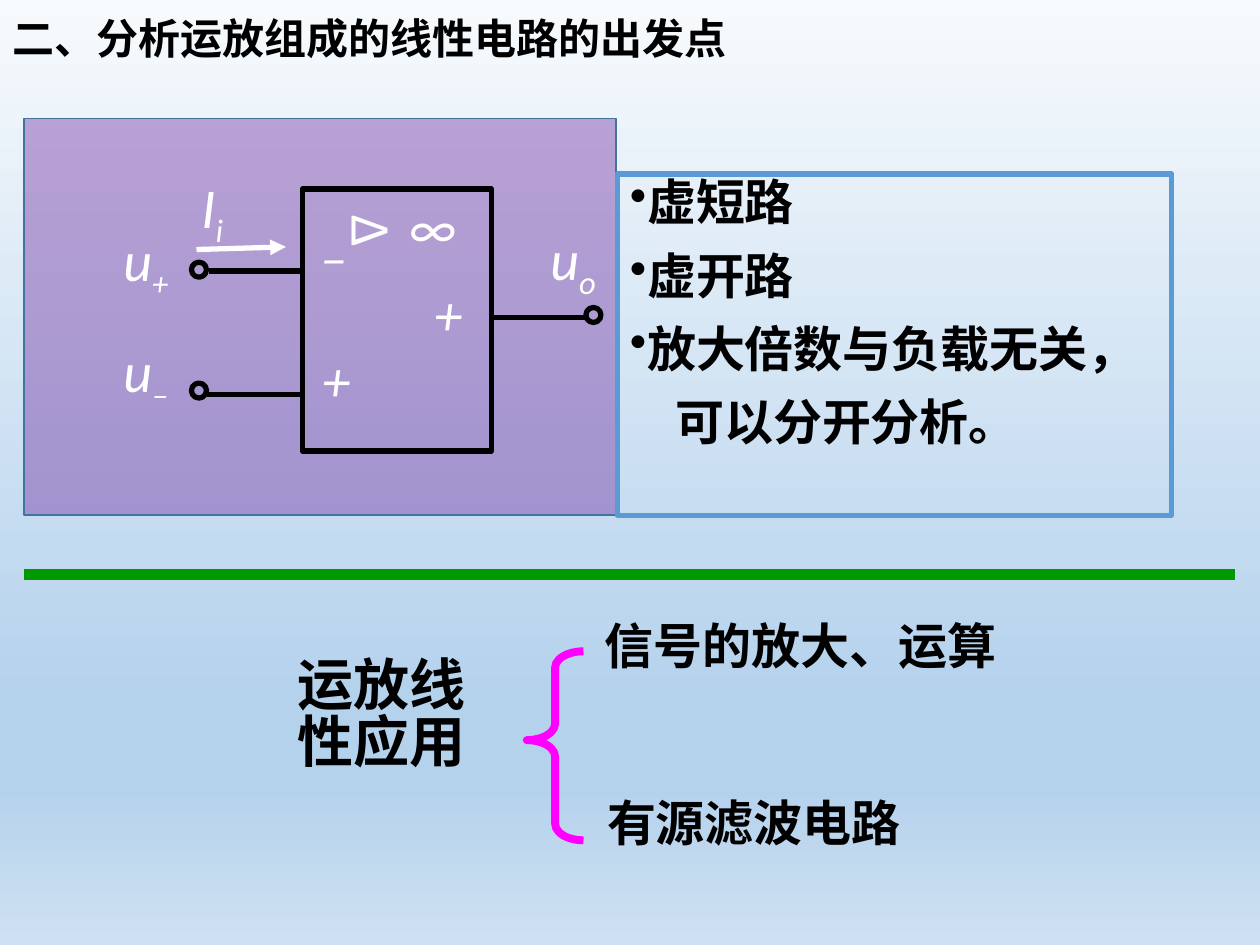
from dataclasses import dataclass

from lxml.etree import SubElement
from pptx import Presentation
from pptx.dml.color import RGBColor
from pptx.enum.shapes import MSO_CONNECTOR, MSO_SHAPE
from pptx.enum.text import MSO_ANCHOR, PP_ALIGN
from pptx.oxml import parse_xml
from pptx.oxml.ns import nsdecls, qn
from pptx.util import Pt

CHINESE_FONT = "Noto Sans CJK SC"
SYMBOL_FONT = "Calibri"
BLACK, WHITE = "000000", "FFFFFF"
BACKGROUND_STOPS = [(0, "F7FAFD"), (74, "B5D2EC"), (83, "B5D2EC"), (100, "CEE1F2")]


@dataclass
class Symbol:
    left: float
    top: float
    width: float
    text: str
    subscript: str = ""
    rotation: int = 0
    italic: bool = True


@dataclass
class Outline:
    kind: MSO_SHAPE
    left: float
    top: float
    width: float
    height: float
    color: str
    weight: float = 3


@dataclass
class Line:
    start: tuple[float, float]
    end: tuple[float, float]
    color: str = BLACK
    weight: float = 3
    arrow: bool = False


@dataclass
class Label:
    left: float
    top: float
    width: float
    height: float
    text: str
    size: int = 28


SYMBOLS = [
    Symbol(63.4, 125.3, 49.7, "u", "+"),
    Symbol(63.4, 188.6, 49.7, "u", "–"),
    Symbol(307.4, 124.6, 51.1, "u", "o"),
    Symbol(108, 95, 49.7, "I", "i"),
    Symbol(177.1, 110.9, 31.7, "_"),
    Symbol(177.1, 193.7, 31.7, "+"),
    Symbol(241.2, 156.2, 31.7, "+"),
    Symbol(192.2, 115.2, 43.2, "Δ", rotation=90, italic=False),
    Symbol(226.8, 106.6, 88.6, "∞"),
]
TERMINALS = [(109.4, 149.8), (109.4, 218.9), (334.8, 175.7)]
LINES = [
    Line((119.5, 154.8), (173.5, 154.8)),
    Line((118.1, 225.4), (172.1, 225.4)),
    Line((280.1, 181.4), (334.1, 181.4)),
    Line((112.3, 142.6), (163.4, 141.1), WHITE, arrow=True),
    Line((13.7, 328.3), (705.6, 328.3), "009900", 6),
]
LABELS = [
    Label(338.4, 352.8, 298.8, 41, "信号的放大、运算"),
    Label(339.8, 454.3, 298.8, 41, "有源滤波电路"),
    Label(162.7, 373, 121, 84.2, "运放线性应用", 32),
]
STARTING_POINTS = ["虚短路", "虚开路", "放大倍数与负载无关，"]
CONTINUATION = "可以分开分析。"


def rgb(color: str) -> RGBColor:
    return RGBColor.from_string(color)


def set_background(slide) -> None:
    stops = "".join(
        f'<a:gs pos="{position * 1000}"><a:srgbClr val="{color}"/></a:gs>'
        for position, color in BACKGROUND_STOPS
    )
    background = parse_xml(
        f'<p:bg {nsdecls("p", "a")}><p:bgPr><a:gradFill><a:gsLst>{stops}</a:gsLst>'
        '<a:lin ang="5400000" scaled="0"/></a:gradFill><a:effectLst/></p:bgPr></p:bg>'
    )
    slide.element.find(qn("p:cSld")).insert(0, background)


def prepare_frame(shape):
    frame = shape.text_frame
    frame.word_wrap = True
    frame.vertical_anchor = MSO_ANCHOR.TOP
    frame.margin_left = frame.margin_right = Pt(7.2)
    frame.margin_top = frame.margin_bottom = Pt(3.6)
    return frame


def add_chinese(paragraph, text: str, size: int) -> None:
    paragraph.alignment = PP_ALIGN.LEFT
    paragraph.line_spacing = 0.86
    run = paragraph.add_run()
    run.text = text
    run.font.name = CHINESE_FONT
    run.font.size = Pt(size)
    run.font.bold = True
    run.font.color.rgb = rgb(BLACK)
    SubElement(run._r.get_or_add_rPr(), qn("a:ea"), typeface=CHINESE_FONT)


def add_outline(slide, outline: Outline):
    shape = slide.shapes.add_shape(
        outline.kind, Pt(outline.left), Pt(outline.top), Pt(outline.width), Pt(outline.height)
    )
    shape.shadow.inherit = False
    shape.fill.background()
    shape.line.color.rgb = rgb(outline.color)
    shape.line.width = Pt(outline.weight)
    return shape


def add_line(slide, line: Line) -> None:
    connector = slide.shapes.add_connector(
        MSO_CONNECTOR.STRAIGHT, *(Pt(value) for value in line.start + line.end)
    )
    connector.line.color.rgb = rgb(line.color)
    connector.line.width = Pt(line.weight)
    if line.arrow:
        SubElement(connector.line._get_or_add_ln(), qn("a:tailEnd"), type="triangle")
    SubElement(connector._element.spPr, qn("a:effectLst"))


def add_symbol(slide, symbol: Symbol) -> None:
    box = slide.shapes.add_textbox(
        Pt(symbol.left), Pt(symbol.top), Pt(symbol.width), Pt(45.4)
    )
    box.rotation = symbol.rotation
    paragraph = prepare_frame(box).paragraphs[0]
    for text, baseline in ((symbol.text, 0), (symbol.subscript, -25000)):
        if not text:
            continue
        run = paragraph.add_run()
        run.text = text
        run.font.name = SYMBOL_FONT
        run.font.size = Pt(32)
        run.font.italic = symbol.italic
        run.font.color.rgb = rgb(WHITE)
        if baseline:
            run._r.get_or_add_rPr().set("baseline", str(baseline))


def add_label(slide, label: Label) -> None:
    box = slide.shapes.add_textbox(
        Pt(label.left), Pt(label.top), Pt(label.width), Pt(label.height)
    )
    add_chinese(prepare_frame(box).paragraphs[0], label.text, label.size)


def add_starting_points(slide) -> None:
    box = add_outline(slide, Outline(MSO_SHAPE.RECTANGLE, 352.8, 99.4, 316.8, 195.1, "5B9BD5"))
    frame = prepare_frame(box)
    for index, text in enumerate([*STARTING_POINTS, CONTINUATION]):
        paragraph = frame.add_paragraph() if index else frame.paragraphs[0]
        properties = paragraph._p.get_or_add_pPr()
        if text == CONTINUATION:
            properties.set("marL", str(Pt(26)))
        else:
            SubElement(properties, qn("a:buChar"), char="•")
        if index:
            paragraph.space_before = Pt(13)
        add_chinese(paragraph, text, 28)


def main() -> None:
    presentation = Presentation()
    presentation.slide_width, presentation.slide_height = Pt(720), Pt(540)
    slide = presentation.slides.add_slide(presentation.slide_layouts[5])
    set_background(slide)

    title = slide.shapes.title
    title.left, title.top, title.width, title.height = Pt(0), Pt(7.9), Pt(595.4), Pt(36)
    add_chinese(prepare_frame(title).paragraphs[0], "二、分析运放组成的线性电路的出发点", 24)

    panel = add_outline(slide, Outline(MSO_SHAPE.RECTANGLE, 13.7, 67.7, 338.4, 226.8, "43739E", 1))
    panel.fill.solid()
    panel.fill.fore_color.rgb = rgb("7030A0")
    panel_color = panel._element.spPr.find(qn("a:solidFill")).find(qn("a:srgbClr"))
    SubElement(panel_color, qn("a:alpha"), val="42000")

    add_starting_points(slide)
    add_outline(slide, Outline(MSO_SHAPE.RECTANGLE, 172.8, 108, 108, 149.8, BLACK))
    for line in LINES:
        add_line(slide, line)
    for left, top in TERMINALS:
        add_outline(slide, Outline(MSO_SHAPE.OVAL, left, top, 8.6, 8.6, BLACK))
    for symbol in SYMBOLS:
        add_symbol(slide, symbol)

    brace = add_outline(slide, Outline(MSO_SHAPE.LEFT_BRACE, 301, 372.2, 32.4, 108, "FF00FF", 4.5))
    brace.adjustments[0], brace.adjustments[1] = 0.29, 0.47
    for label in LABELS:
        add_label(slide, label)
    presentation.save("out.pptx")


if __name__ == "__main__":
    main()
